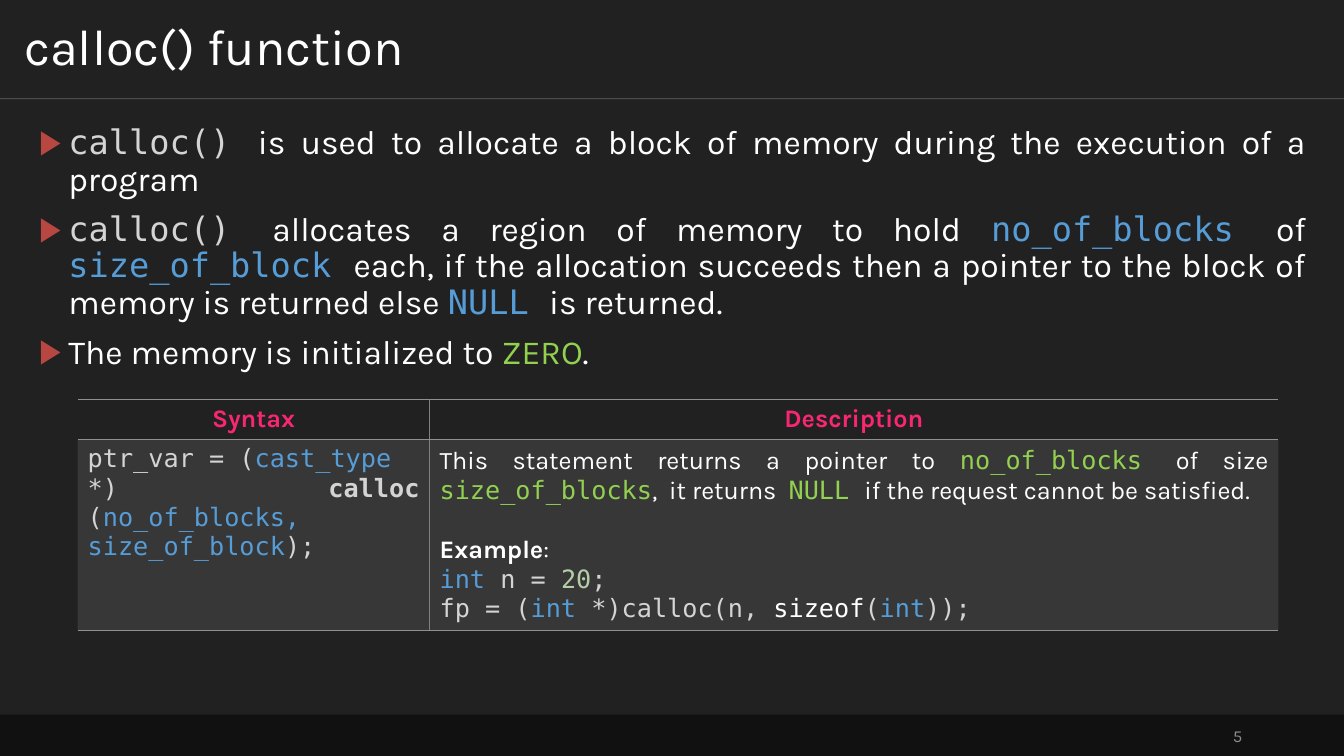
from lxml.etree import SubElement
from pptx import Presentation
from pptx.dml.color import RGBColor
from pptx.enum.shapes import MSO_CONNECTOR as Connector, MSO_SHAPE as Shape
from pptx.enum.text import MSO_ANCHOR as Anchor, PP_ALIGN as Align
from pptx.oxml import parse_xml
from pptx.oxml.ns import nsdecls, qn
from pptx.util import Inches, Pt

COLORS = {
    "back": "212121", "footer": "111111", "white": "FFFFFF", "number": "8D8D8D",
    "bullet": "B84742", "code": "D4D4D4", "blue": "569CD6", "green": "92D050",
    "literal": "B5CEA8", "pink": "F92672", "rule": "909090", "divider": "808080",
}
TEXT, CODE = "Karla", "DejaVu Sans Mono"
NBSP = chr(160)


def add_runs(para, runs, size, align=Align.JUSTIFY):
    """Each run is (text, font, color) with an optional bold flag."""
    para.alignment = align
    for text, font, color, *bold in runs:
        span = para.add_run()
        span.text = text
        span.font.name = font
        span.font.size = Pt(size)
        span.font.bold = bool(bold)
        span.font.color.rgb = RGBColor.from_string(COLORS[color])


def add_box(left, top, width, height, anchor):
    box = page.shapes.add_textbox(Inches(left), Inches(top), Inches(width), Inches(height))
    box.text_frame.word_wrap = True
    box.text_frame.vertical_anchor = anchor
    return box.text_frame


deck = Presentation()
deck.slide_width, deck.slide_height = Inches(13.33), Inches(7.5)
page = deck.slides.add_slide(deck.slide_layouts[6])

# Background, title rule and footer bar
page.background.fill.solid()
page.background.fill.fore_color.rgb = RGBColor.from_string(COLORS["back"])

rule = page.shapes.add_connector(
    Connector.STRAIGHT, 0, Inches(0.98), deck.slide_width, Inches(0.98))
rule.line.width = Pt(0.5)
rule.line.color.rgb = RGBColor.from_string(COLORS["white"])
SubElement(rule.line.color._xFill.find(qn("a:srgbClr")), qn("a:alpha"), val="30000")
SubElement(rule._element.spPr, qn("a:effectLst"))

footer = page.shapes.add_shape(
    Shape.RECTANGLE, 0, Inches(7.09), deck.slide_width, Inches(0.41))
footer.shadow.inherit = False
footer.fill.solid()
footer.fill.fore_color.rgb = RGBColor.from_string(COLORS["footer"])
footer.line.fill.background()

number = add_box(9.42, 7.1, 3, 0.4, Anchor.MIDDLE)
add_runs(number.paragraphs[0], [("5", TEXT, "number")], 12, Align.RIGHT)

# Title
title = add_box(0, 0, 13.33, 0.98, Anchor.MIDDLE)
title.margin_left = title.margin_right = Inches(0.24)
title.margin_top = title.margin_bottom = Inches(0.12)
title.paragraphs[0].line_spacing = 0.9
add_runs(title.paragraphs[0], [("calloc() function", TEXT, "white")], 36)

# Bulleted points
points = [
    [("calloc() ", CODE, "code"),
     ("is used to allocate a block of memory during the execution of a program",
      TEXT, "white")],
    [("calloc() ", CODE, "code"),
     ("allocates a region of memory to hold ", TEXT, "white"),
     ("no_of_blocks ", CODE, "blue"),
     ("of ", TEXT, "white"),
     ("size_of_block ", CODE, "blue"),
     ("each, if the allocation succeeds then a pointer to the block of memory "
      "is returned else ", TEXT, "white"),
     ("NULL ", CODE, "blue"),
     ("is returned.", TEXT, "white")],
    [("The memory is initialized to ", TEXT, "white"),
     ("ZERO", TEXT, "green"),
     (".", TEXT, "white")],
]
body = add_box(0.29, 1.2, 12.76, 2.76, Anchor.TOP)
for index, runs in enumerate(points):
    para = body.add_paragraph() if index else body.paragraphs[0]
    para.line_spacing = 0.9
    para.space_before = Pt(10)
    add_runs(para, runs, 24)
    props = para._p.get_or_add_pPr()
    props.set("marL", str(Inches(0.29)))
    props.set("indent", str(-Inches(0.29)))
    SubElement(SubElement(props, qn("a:buClr")), qn("a:srgbClr"), val=COLORS["bullet"])
    SubElement(props, qn("a:buFont"), typeface="Arial")
    SubElement(props, qn("a:buChar"), char="▶")

# Syntax and description table
syntax = [[
    (f"ptr_var{NBSP}={NBSP}(", CODE, "code"),
    ("cast_type", CODE, "blue"),
    (f"{NBSP}*) ", CODE, "code"),
    ("calloc", CODE, "code", True),
    (" (", CODE, "code"),
    ("no_of_blocks, size_of_block", CODE, "blue"),
    (");", CODE, "code"),
]]
description = [
    [("This statement returns a pointer to ", TEXT, "white"),
     ("no_of_blocks ", CODE, "green"),
     ("of size ", TEXT, "white"),
     ("size_of_blocks", CODE, "green"),
     (",  it returns  ", TEXT, "white"),
     ("NULL ", CODE, "green"),
     ("if the request cannot be satisfied. ", TEXT, "white")],
    [("Example", TEXT, "white", True), (": ", TEXT, "white")],
    [("int", CODE, "blue"),
     (f"{NBSP}n = ", CODE, "code"),
     ("20", CODE, "literal"),
     (";", CODE, "code")],
    [(f"fp{NBSP}={NBSP}(", CODE, "code"),
     ("int", CODE, "blue"),
     (f"{NBSP}*)calloc(n,{NBSP}", CODE, "code"),
     ("sizeof", CODE, "white"),
     ("(", CODE, "code"),
     ("int", CODE, "blue"),
     ("));", CODE, "code")],
]
rows = [
    [[[(name, TEXT, "pink", True)]] for name in ("Syntax", "Description")],
    [syntax, description],
]
frame = page.shapes.add_table(2, 2, Inches(0.77), Inches(3.96), Inches(11.91), Inches(2.25))
table = frame.table
table.first_row = table.horz_banding = False
# "No Style, No Grid"
table._tbl.tblPr.find(qn("a:tableStyleId")).text = "{2D5ABB26-0587-4C30-8999-92F81FD0307C}"
for column, width in zip(table.columns, (3.49, 8.42)):
    column.width = Inches(width)
for row, height in zip(table.rows, (0.39, 1.86)):
    row.height = Inches(height)

for r, row in enumerate(rows):
    for c, paragraphs in enumerate(row):
        cell = table.cell(r, c)
        is_syntax = (r, c) == (1, 0)
        cell.vertical_anchor = Anchor.TOP if is_syntax else Anchor.MIDDLE
        for index, runs in enumerate(paragraphs):
            para = cell.text_frame.add_paragraph() if index else cell.text_frame.paragraphs[0]
            add_runs(para, runs, 18, Align.JUSTIFY if r else Align.CENTER)
            if index == 1:
                para.space_before = Pt(21)
        props = cell._tc.get_or_add_tcPr()
        if r:
            cell.fill.solid()
            cell.fill.fore_color.rgb = RGBColor.from_string(COLORS["rule"])
            tint = props.find(qn("a:solidFill")).find(qn("a:srgbClr"))
            SubElement(tint, qn("a:alpha"), val="20000")
        else:
            cell.fill.background()
        # Rules above and below each row, one divider between the columns
        edges = [("lnR" if c == 0 else "lnL", "divider"), ("lnT", "rule"), ("lnB", "rule")]
        for position, (edge, color) in enumerate(edges):
            props.insert(position, parse_xml(
                f'<a:{edge} {nsdecls("a")} w="{Pt(1)}"><a:solidFill>'
                f'<a:srgbClr val="{COLORS[color]}"/></a:solidFill></a:{edge}>'))

deck.save("out.pptx")
